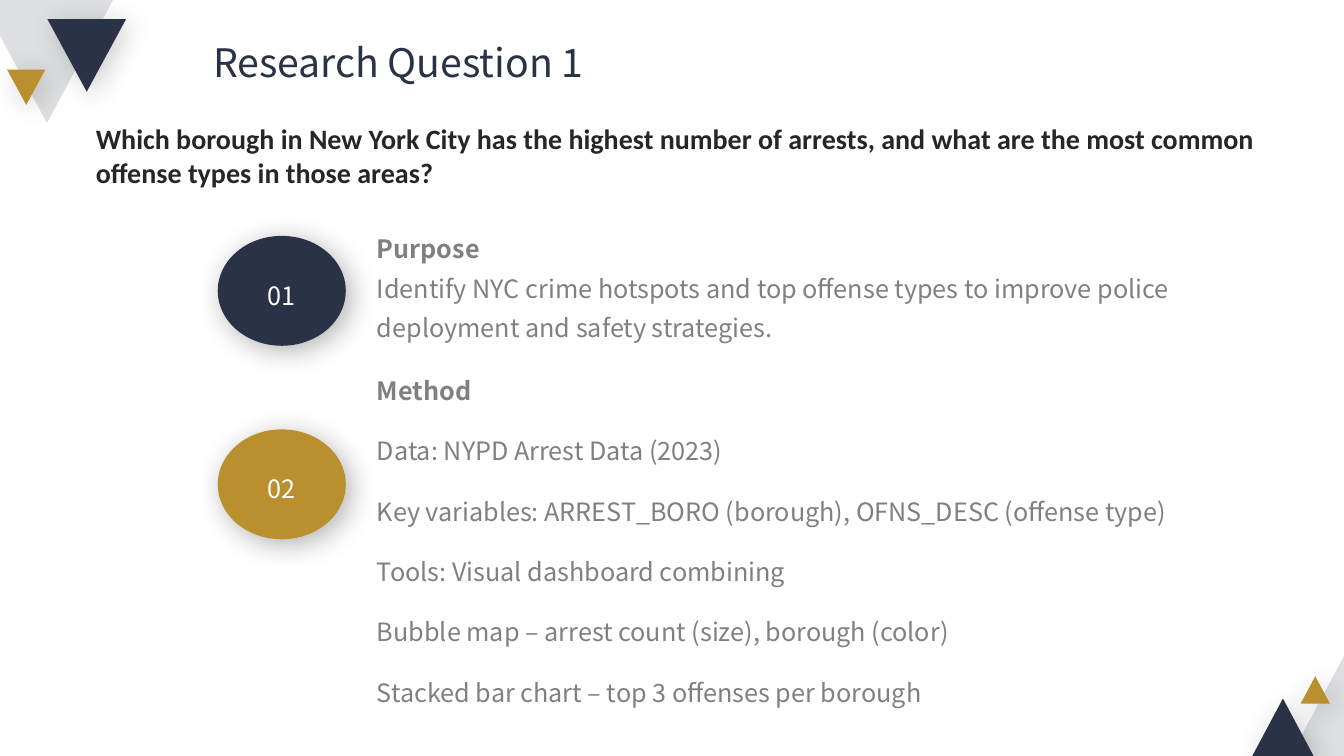
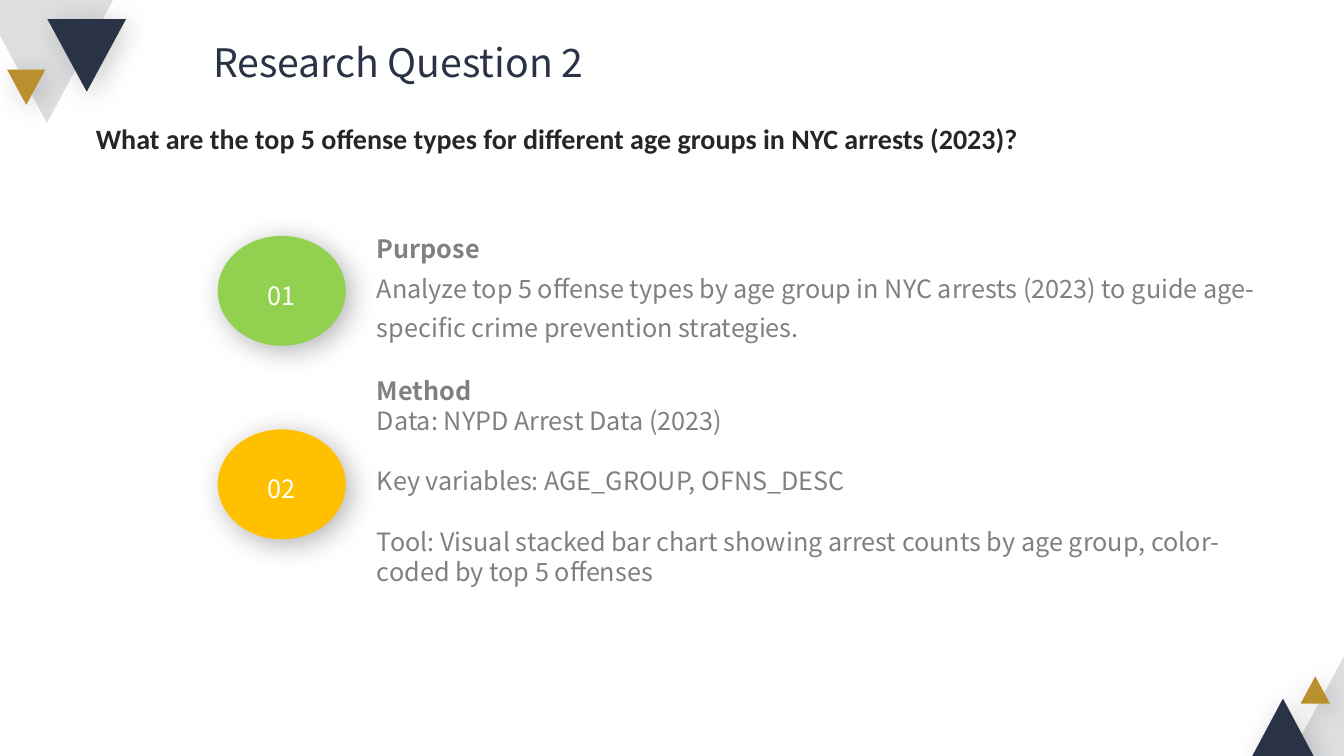
"""Build two research question slides with a shared corner motif."""
from dataclasses import dataclass

from lxml import etree
from pptx import Presentation
from pptx.dml.color import RGBColor
from pptx.enum.shapes import MSO_SHAPE
from pptx.enum.text import MSO_ANCHOR, MSO_AUTO_SIZE, PP_ALIGN
from pptx.oxml.ns import qn
from pptx.util import Inches, Pt

TRI, OVAL = MSO_SHAPE.ISOSCELES_TRIANGLE, MSO_SHAPE.OVAL
LEFT, MID = PP_ALIGN.LEFT, PP_ALIGN.CENTER
CENTER, GROW = MSO_ANCHOR.MIDDLE, MSO_AUTO_SIZE.SHAPE_TO_FIT_TEXT


@dataclass(frozen=True)
class Theme:
    navy: str = "2A3246"
    gold: str = "BA8F2D"
    pale: str = "DDDFE0"
    ink: str = "262626"
    gray: str = "808080"
    white: str = "FFFFFF"
    main: str = "Noto Sans CJK SC"
    lead: str = "Calibri"
    title: int = 28
    ask: int = 20
    body: int = 18
    gap: float = 21.6


T = Theme()

PAGES = [
    {
        "title": "Research Question 1",
        "ask": "Which borough in New York City has the highest number of arrests, "
               "and what are the most common offense types in those areas?",
        "dots": (T.navy, T.gold),
        "why": [["Purpose",
                 "Identify NYC crime hotspots and top offense types to improve "
                 "police deployment and safety strategies."]],
        "how": [["Method"],
                ["Data: NYPD Arrest Data (2023)"],
                ["Key variables: ARREST_BORO (borough), OFNS_DESC (offense type)"],
                ["Tools: Visual dashboard combining"],
                ["Bubble map – arrest count (size), borough (color)"],
                ["Stacked bar chart – top 3 offenses per borough"]],
        "tall": (0.67, 3.43),
    },
    {
        "title": "Research Question 2",
        "ask": "What are the top 5 offense types for different age groups "
               "in NYC arrests (2023)?",
        "dots": ("92D050", "FFC000"),
        "why": [["Purpose",
                 "Analyze top 5 offense types by age group in NYC arrests (2023) "
                 "to guide age-specific crime prevention strategies."]],
        "how": [["Method", "Data: NYPD Arrest Data (2023)"],
                ["Key variables: AGE_GROUP, OFNS_DESC"],
                ["Tool: Visual stacked bar chart showing arrest counts by age "
                 "group, color-coded by top 5 offenses"]],
        "tall": (0.34, 2.22),
    },
]

CORNERS = [
    ((-0.19, 0, 1.31, 1.22), 180, T.pale, 0),
    ((0.47, 0.19, 0.78, 0.72), 180, T.navy, 20),
    ((0.07, 0.69, 0.38, 0.35), 180, T.gold, 20),
    ((12.67, 6.51, 1.32, 1.23), 0, T.pale, 0),
    ((12.41, 6.93, 0.63, 0.59), 0, T.navy, 20),
    ((12.9, 6.71, 0.29, 0.27), 0, T.gold, 20),
]


def place(box):
    return [Inches(n) for n in box]


def shade(shape, alpha):
    glow = shape.element.spPr.find(qn("a:effectLst"))
    cast = etree.SubElement(glow, qn("a:outerShdw"), blurRad=str(Pt(20)),
                            dist=str(Pt(5)), dir=str(45 * 60000),
                            algn="tl", rotWithShape="0")
    tint = etree.SubElement(cast, qn("a:srgbClr"), val="000000")
    etree.SubElement(tint, qn("a:alpha"), val=str(alpha * 1000))


def draw(slide, kind, box, fill, alpha, turn=0):
    shape = slide.shapes.add_shape(kind, *place(box))
    shape.rotation = turn
    shape.fill.solid()
    shape.fill.fore_color.rgb = RGBColor.from_string(fill)
    shape.line.fill.background()
    shape.shadow.inherit = False
    if alpha:
        shade(shape, alpha)
    return shape


def write(frame, groups, size, color, font=T.main, align=LEFT, space=1.0, bold=False):
    """Fill a frame; groups are set apart, and bold marks the first line."""
    lines = [(text, row > 0 and col == 0)
             for row, group in enumerate(groups) for col, text in enumerate(group)]
    for i, (text, apart) in enumerate(lines):
        para = frame.add_paragraph() if i else frame.paragraphs[0]
        para.text = text
        para.alignment = align
        para.line_spacing = space
        if apart:
            para.space_before = Pt(T.gap)
        face = para.runs[0].font
        face.name, face.size = font, Pt(size)
        face.bold = bold and i == 0
        face.color.rgb = RGBColor.from_string(color)


def label(slide, box, groups, *style, inset=True, **more):
    frame = slide.shapes.add_textbox(*place(box)).text_frame
    frame.word_wrap = True
    frame.auto_size = GROW
    if not inset:
        frame.margin_left = frame.margin_right = 0
        frame.margin_top = frame.margin_bottom = 0
    write(frame, groups, *style, **more)


def dress(layout, slide):
    """Move the corner triangles onto the layout that every slide uses."""
    tree = layout.shapes.element
    for spot in list(layout.placeholders):
        tree.remove(spot.element)
    for box, turn, fill, alpha in CORNERS:
        tree.append(draw(slide, TRI, box, fill, alpha, turn).element)


def fill_page(slide, page):
    high, deep = page["tall"]
    label(slide, (0.95, 1.21, 11.88, high), [[page["ask"]]], T.ask, T.ink,
          font=T.lead, bold=True, inset=False)
    label(slide, (0.95, 0.24, 6, 0.66), [[page["title"]]], T.title, T.navy,
          align=MID, space=1.2)
    for i, fill in enumerate(page["dots"]):
        dot = draw(slide, OVAL, (2.16, 2.34 + 1.92 * i, 1.27, 1.09), fill, 30)
        frame = dot.text_frame
        frame.word_wrap = False
        frame.vertical_anchor = CENTER
        write(frame, [[f"{i + 1:02}"]], T.body, T.white, align=MID, space=1.3)
    label(slide, (3.64, 2.18, 9.06, 1.28), page["why"], T.body, T.gray,
          space=1.3, bold=True)
    label(slide, (3.64, 3.67, 8.88, deep), page["how"], T.body, T.gray, bold=True)


def main():
    deck = Presentation()
    deck.slide_width, deck.slide_height = Inches(13.33), Inches(7.5)
    blank = deck.slide_layouts[6]
    slides = [deck.slides.add_slide(blank) for _ in PAGES]
    dress(blank, slides[0])
    for slide, page in zip(slides, PAGES):
        fill_page(slide, page)
    deck.save("out.pptx")


if __name__ == "__main__":
    main()
